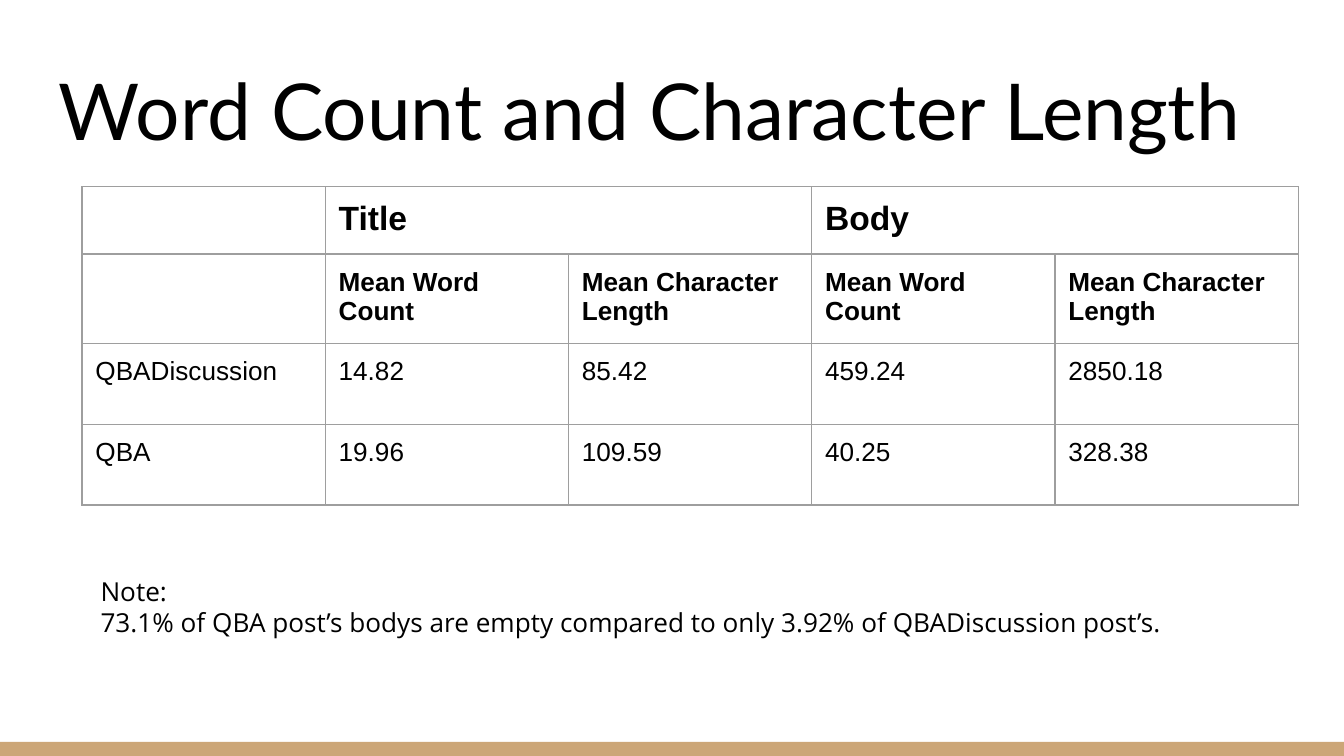
from lxml import etree
from pptx import Presentation
from pptx.dml.color import RGBColor
from pptx.enum.shapes import MSO_SHAPE
from pptx.enum.text import MSO_ANCHOR
from pptx.oxml.ns import qn
from pptx.util import Inches, Pt

BLACK = RGBColor(0x00, 0x00, 0x00)
WHITE = RGBColor(0xFF, 0xFF, 0xFF)
TAN = RGBColor(0xCC, 0xA6, 0x77)
GRID_GRAY = RGBColor(0x9E, 0x9E, 0x9E)

INSET = Inches(0.1)
COLUMN_WIDTH = 1.81
ROW_HEIGHTS = [0.41, 0.51, 0.6, 0.6]
GROUPS = ["Title", "Body"]
MEASURES = ["Mean Word Count", "Mean Character Length"]
RESULTS = [
    ["QBADiscussion", "14.82", "85.42", "459.24", "2850.18"],
    ["QBA", "19.96", "109.59", "40.25", "328.38"],
]
NOTE = [
    "Note:",
    "73.1% of QBA post’s bodys are empty compared to only 3.92% of QBADiscussion post’s.",
]


def add_run(paragraph, text, font_name, size, bold=False):
    run = paragraph.add_run()
    run.text = text
    run.font.name = font_name
    run.font.size = Pt(size)
    run.font.bold = bold
    run.font.color.rgb = BLACK


def set_insets(holder):
    """Give a cell or text frame the same margin on all sides."""
    holder.margin_left = holder.margin_right = INSET
    holder.margin_top = holder.margin_bottom = INSET


def add_text(slide, left, top, width, height, lines, font_name, size,
             anchor=MSO_ANCHOR.TOP):
    box = slide.shapes.add_textbox(
        Inches(left), Inches(top), Inches(width), Inches(height))
    frame = box.text_frame
    frame.word_wrap = True
    frame.vertical_anchor = anchor
    set_insets(frame)
    for index, line in enumerate(lines):
        paragraph = frame.add_paragraph() if index else frame.paragraphs[0]
        add_run(paragraph, line, font_name, size)


def add_footer_bar(slide, left, top, width, height):
    bar = slide.shapes.add_shape(
        MSO_SHAPE.RECTANGLE,
        Inches(left), Inches(top), Inches(width), Inches(height))
    bar.shadow.inherit = False
    bar.fill.solid()
    bar.fill.fore_color.rgb = TAN
    bar.line.fill.background()


def style_cell(cell):
    """Set insets, gray borders and a white fill."""
    set_insets(cell)
    properties = cell._tc.get_or_add_tcPr()
    for side in ("lnL", "lnR", "lnT", "lnB"):
        line = etree.SubElement(properties, qn(f"a:{side}"), w=str(Pt(0.75)))
        fill = etree.SubElement(line, qn("a:solidFill"))
        etree.SubElement(fill, qn("a:srgbClr"), val=str(GRID_GRAY))
    cell.fill.solid()
    cell.fill.fore_color.rgb = WHITE


def fill_cell(cell, text, size, bold):
    """Write the text and keep the paragraph end as small as the text."""
    paragraph = cell.text_frame.paragraphs[0]
    if text:
        add_run(paragraph, text, "Arial", size, bold)
    end = etree.SubElement(
        paragraph._p, qn("a:endParaRPr"), sz=str(size * 100))
    etree.SubElement(end, qn("a:latin"), typeface="Arial")


def add_results_table(slide, left, top):
    column_count = 1 + len(GROUPS) * len(MEASURES)
    table = slide.shapes.add_table(
        len(ROW_HEIGHTS), column_count, Inches(left), Inches(top),
        Inches(COLUMN_WIDTH * column_count), Inches(sum(ROW_HEIGHTS))).table
    for column in table.columns:
        column.width = Inches(COLUMN_WIDTH)
    for row, height in zip(table.rows, ROW_HEIGHTS):
        row.height = Inches(height)
    for cell in table.iter_cells():
        style_cell(cell)

    group_row = [""]
    for group in GROUPS:
        start = len(group_row)
        end = start + len(MEASURES) - 1
        table.cell(0, start).merge(table.cell(0, end))
        group_row += [group] + [""] * (len(MEASURES) - 1)
    rows = [group_row, [""] + MEASURES * len(GROUPS)] + RESULTS
    for row_index, values in enumerate(rows):
        for column_index, value in enumerate(values):
            fill_cell(table.cell(row_index, column_index), value,
                      size=18 if row_index == 0 else 14, bold=row_index < 2)


def main():
    presentation = Presentation()
    presentation.slide_width = Inches(10)
    presentation.slide_height = Inches(10) * 9 // 16
    slide = presentation.slides.add_slide(presentation.slide_layouts[6])
    slide.background.fill.solid()
    slide.background.fill.fore_color.rgb = WHITE

    add_footer_bar(slide, 0, 5.52, 10, 0.11)
    add_text(slide, 0.34, 0.35, 9.32, 0.91, ["Word Count and Character Length"],
             "Lato", 42, MSO_ANCHOR.BOTTOM)
    add_results_table(slide, 0.61, 1.39)
    add_text(slide, 0.65, 4.18, 9, 0.91, NOTE, "Open Sans", 14)
    presentation.save("out.pptx")


if __name__ == "__main__":
    main()
